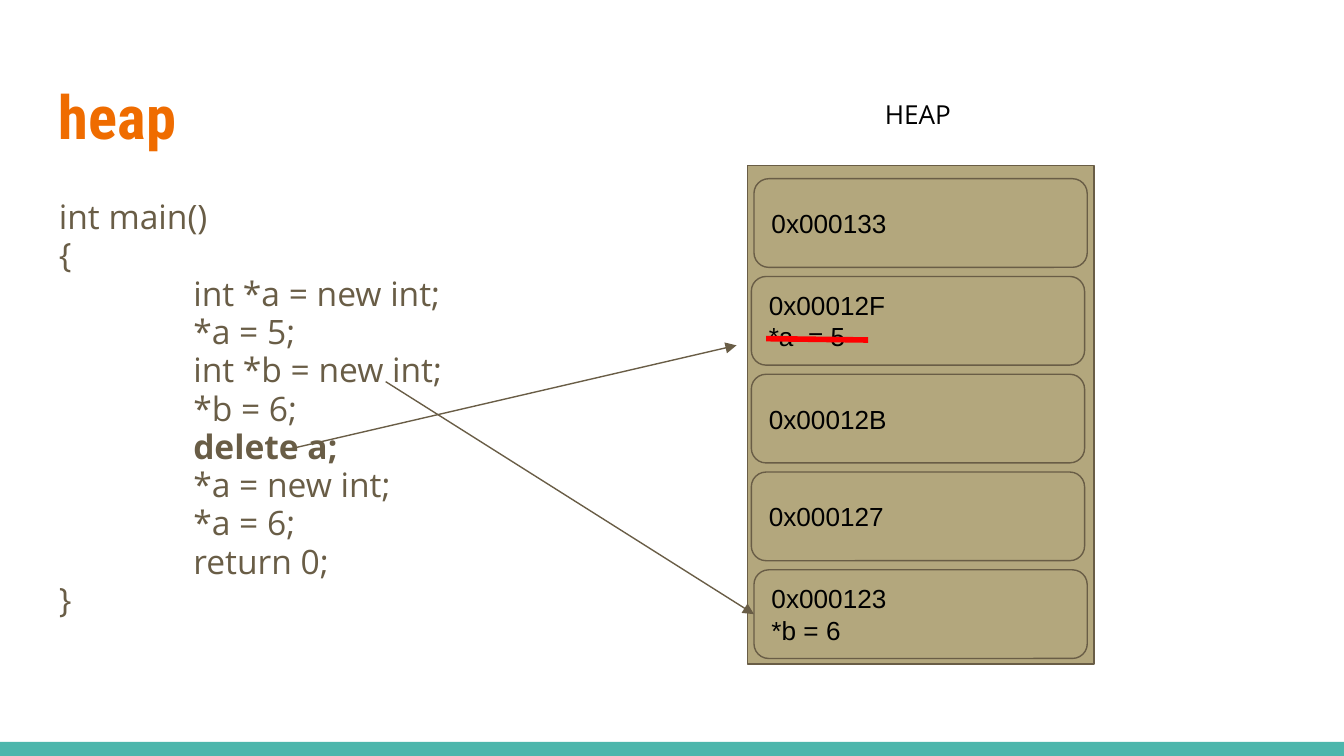
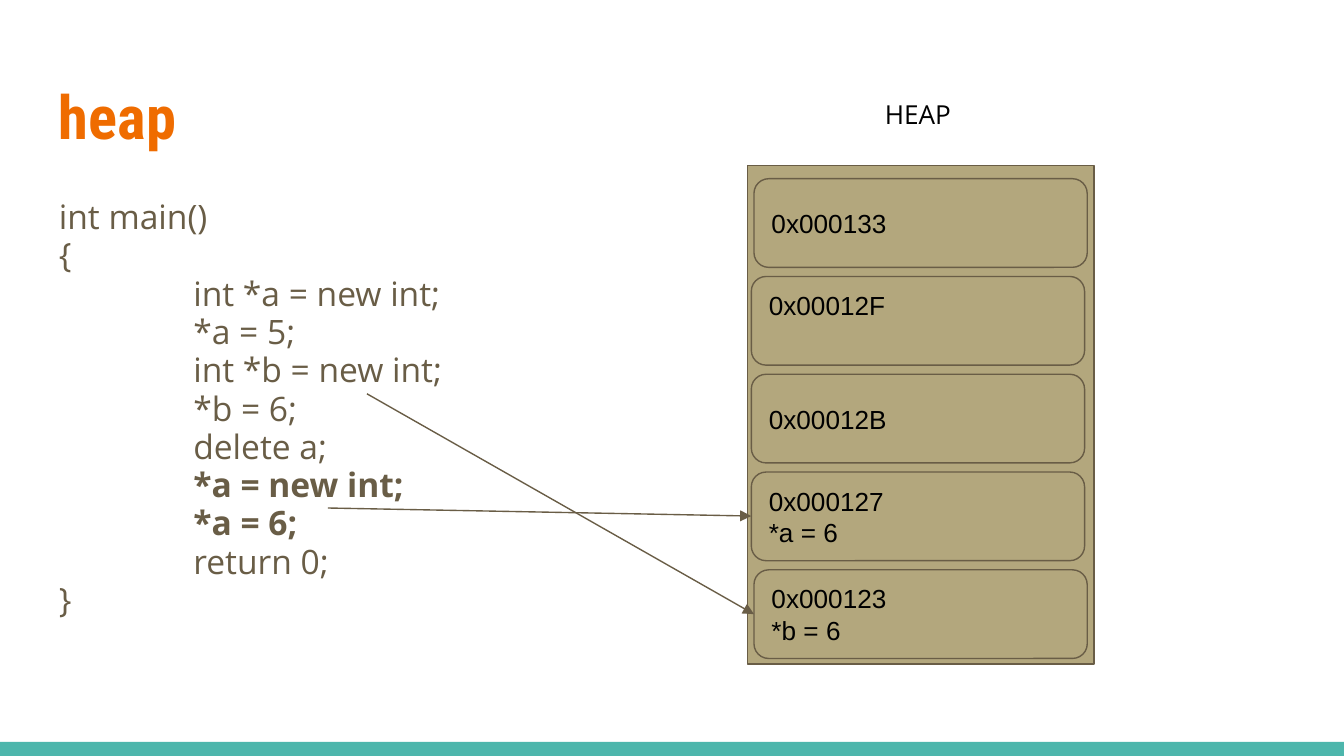
from lxml import etree
from pptx import Presentation
from pptx.dml.color import RGBColor
from pptx.enum.shapes import MSO_CONNECTOR, MSO_SHAPE
from pptx.enum.text import MSO_ANCHOR, MSO_AUTO_SIZE, PP_ALIGN
from pptx.oxml.ns import qn
from pptx.util import Inches, Pt

# Content
CODE = [
    "int main()",
    "{",
    "\tint *a = new int;",
    "\t*a = 5;",
    "\tint *b = new int;",
    "\t*b = 6;",
    "\tdelete a;",
    "\t*a = new int;",
    "\t*a = 6;",
    "\treturn 0;",
    "}",
]
ADDRESSES = ["0x000133", "0x00012F", "0x00012B", "0x000127", "0x000123"]
STEPS = [
    {
        "bold": {"\tdelete a;"},
        "values": {"0x00012F": "*a  = 5", "0x000123": "*b = 6"},
        "arrows": [((2.87, 2.84), (5.61, 4.57)), ((2.16, 3.34), (5.48, 2.57))],
        "strikes": [((5.7, 2.52), (6.46, 2.53))],
    },
    {
        "bold": {"\t*a = new int;", "\t*a = 6;"},
        "values": {"0x00012F": "", "0x000127": "*a = 6", "0x000123": "*b = 6"},
        "arrows": [((2.44, 3.78), (5.59, 3.84)), ((2.73, 2.93), (5.61, 4.57))],
        "strikes": [],
    },
]

# Shared look
TEAL, ORANGE, BROWN, SAND = "4DB6AC", "EF6C00", "695D46", "B3A77D"
RED, BLACK = "FF0000", "000000"
TITLE_FONT, BODY_FONT, CELL_FONT = "Roboto Condensed", "Open Sans", "Arial"

# Heap geometry in inches
HEAP = (5.56, 1.23, 2.58, 3.71)
CELL_WIDTH, CELL_HEIGHT = 2.48, 0.66
FIRST_TOP, LAST_TOP = 1.33, 4.24
CELL_PITCH = (LAST_TOP - FIRST_TOP) / (len(ADDRESSES) - 1)
OUTER_LEFT, INNER_LEFT = 5.61, 5.59


def color(value):
    return RGBColor.from_string(value)


def write(shape, lines, size, font, fill, bold=(), align=PP_ALIGN.LEFT,
          anchor=MSO_ANCHOR.TOP, spacing=None, after=None, split=False):
    """Fill a shape with lines, as paragraphs if split, else with line breaks."""
    frame = shape.text_frame
    frame.word_wrap = True
    frame.vertical_anchor = anchor
    frame.margin_left = frame.margin_right = Inches(0.1)
    frame.margin_top = frame.margin_bottom = Inches(0.1)
    paragraph = frame.paragraphs[0]
    for index, line in enumerate(lines):
        if index and split:
            paragraph = frame.add_paragraph()
        elif index:
            paragraph.add_line_break()
        paragraph.alignment = align
        paragraph.line_spacing = spacing
        paragraph.space_after = after
        if line:
            run = paragraph.add_run()
            run.text = line
            run.font.size = Pt(size)
            run.font.name = font
            run.font.bold = line in bold
            run.font.color.rgb = color(fill)
    # Line breaks and the paragraph end take the size of the text
    for line_break in shape.element.iter(qn("a:br")):
        mark = etree.SubElement(line_break, qn("a:rPr"), sz=str(int(size * 100)))
        etree.SubElement(mark, qn("a:latin"), typeface=font)
    for element in shape.element.iter(qn("a:p")):
        mark = etree.SubElement(element, qn("a:endParaRPr"), sz=str(int(size * 100)))
        etree.SubElement(mark, qn("a:latin"), typeface=font)


def add_text(slide, box, lines, **style):
    shape = slide.shapes.add_textbox(*map(Inches, box))
    write(shape, lines, **style)
    return shape


def set_tab_stop(shape, position):
    for properties in shape.element.iter(qn("a:pPr")):
        stops = etree.SubElement(properties, qn("a:tabLst"))
        etree.SubElement(stops, qn("a:tab"), pos=str(Inches(position)), algn="l")


def add_block(slide, kind, box, fill, line=None):
    shape = slide.shapes.add_shape(kind, *map(Inches, box))
    shape.shadow.inherit = False
    shape.fill.solid()
    shape.fill.fore_color.rgb = color(fill)
    if line:
        shape.line.color.rgb = color(line)
        shape.line.width = Pt(0.75)
    else:
        shape.line.fill.background()
    return shape


def add_line(slide, start, end, stroke, width, arrow=False):
    connector = slide.shapes.add_connector(
        MSO_CONNECTOR.STRAIGHT, *map(Inches, start + end))
    connector.line.color.rgb = color(stroke)
    connector.line.width = Pt(width)
    properties = connector.element.spPr
    if arrow:
        outline = properties.find(qn("a:ln"))
        etree.SubElement(outline, qn("a:tailEnd"), type="triangle")
    etree.SubElement(properties, qn("a:effectLst"))


def add_heap(slide, values):
    add_block(slide, MSO_SHAPE.RECTANGLE, HEAP, SAND, BROWN)
    label = add_text(slide, (5.54, 0.63, 2.58, 0.44), ["HEAP"], size=14,
                     font=BODY_FONT, fill=BLACK, align=PP_ALIGN.CENTER)
    label.text_frame.auto_size = MSO_AUTO_SIZE.SHAPE_TO_FIT_TEXT
    # Cells, from the lowest address up
    last = len(ADDRESSES) - 1
    for index in range(last, -1, -1):
        address = ADDRESSES[index]
        left = OUTER_LEFT if index in (0, last) else INNER_LEFT
        top = FIRST_TOP + index * CELL_PITCH
        cell = add_block(slide, MSO_SHAPE.ROUNDED_RECTANGLE,
                         (left, top, CELL_WIDTH, CELL_HEIGHT), SAND, BROWN)
        lines = [address, values[address]] if address in values else [address]
        write(cell, lines, size=14, font=CELL_FONT, fill=BLACK,
              anchor=MSO_ANCHOR.MIDDLE, split=index == last)


def add_step(presentation, step):
    slide = presentation.slides.add_slide(presentation.slide_layouts[6])
    # Footer band, title and code
    add_block(slide, MSO_SHAPE.RECTANGLE, (0, 5.52, 10, 0.11), TEAL)
    add_text(slide, (0.34, 0.49, 9.32, 0.77), ["heap"], size=32.4,
             font=TITLE_FONT, fill=ORANGE, bold={"heap"})
    code = add_text(slide, (0.34, 1.38, 3.84, 3.61), CODE, size=18,
                    font=BODY_FONT, fill=BROWN, bold=step["bold"],
                    spacing=0.95, after=Pt(12))
    set_tab_stop(code, 1)
    # Heap, pointers and crossed-out values
    add_heap(slide, step["values"])
    for start, end in step["arrows"]:
        add_line(slide, start, end, BROWN, 0.75, arrow=True)
    for start, end in step["strikes"]:
        add_line(slide, start, end, RED, 3)


def main():
    presentation = Presentation()
    presentation.slide_width = Inches(10)
    presentation.slide_height = Inches(10 * 9 / 16)
    for step in STEPS:
        add_step(presentation, step)
    presentation.save("out.pptx")


if __name__ == "__main__":
    main()
